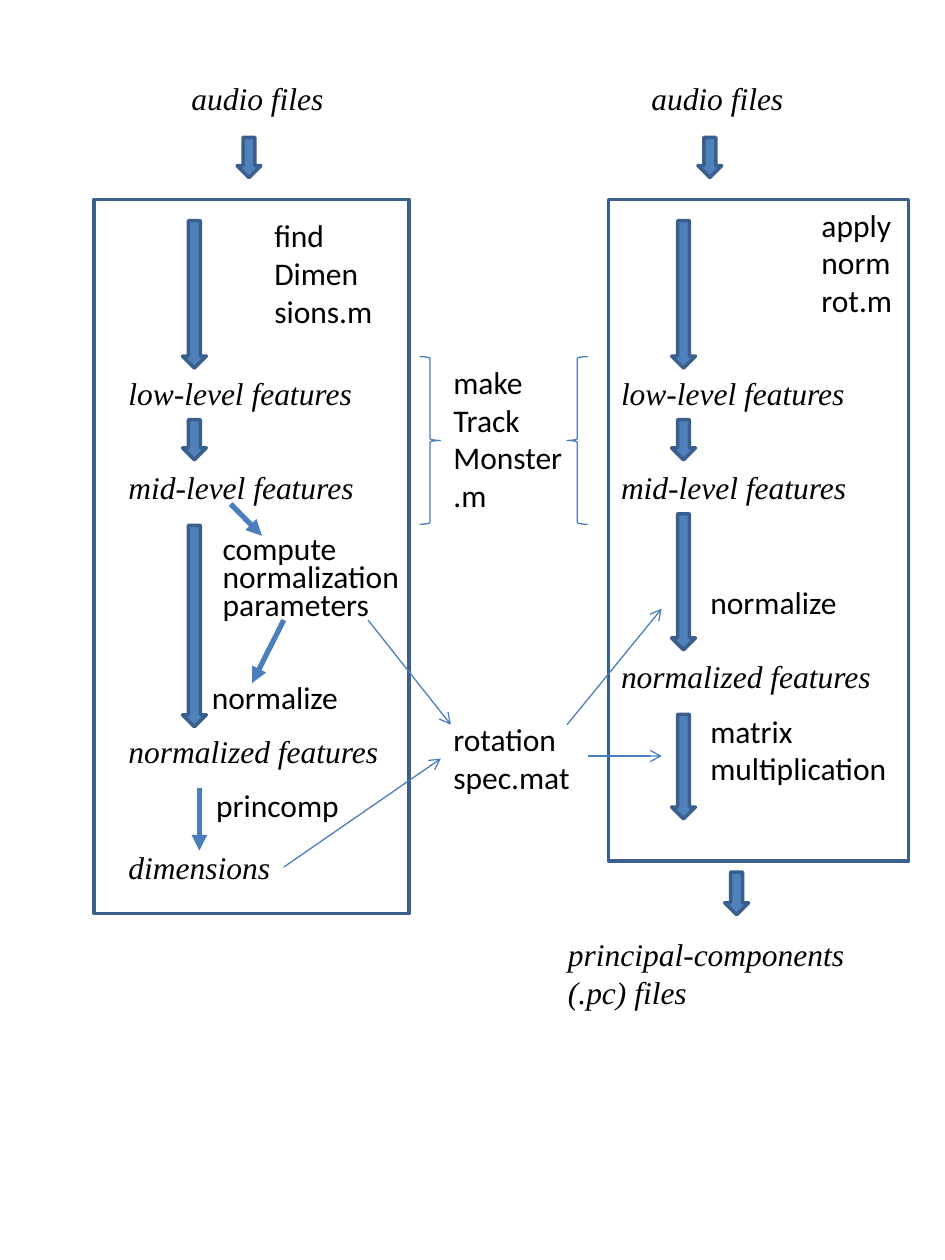
from lxml import etree
from pptx import Presentation
from pptx.dml.color import RGBColor
from pptx.enum import shapes, text
from pptx.oxml.ns import qn
from pptx.util import Cm, Pt

COLORS = {"fill": "4F81BD", "outline": "3A5F8C", "line": "4B7EBC", "text": "000000"}
DATA, CODE = "Times New Roman", "Calibri"

prs = Presentation()
prs.slide_width, prs.slide_height = Cm(19.05), Cm(25.4)
s = prs.slides.add_slide(prs.slide_layouts[6])


def add_outline(kind, x, y, w, h, color, width, fill=None):
    sp = s.shapes.add_shape(kind, Cm(x), Cm(y), Cm(w), Cm(h))
    sp.shadow.inherit = False
    if fill:
        sp.fill.solid()
        sp.fill.fore_color.rgb = RGBColor.from_string(COLORS[fill])
    else:
        sp.fill.background()
    sp.line.color.rgb = RGBColor.from_string(COLORS[color])
    sp.line.width = Pt(width)
    return sp


def add_label(lines, font, x, y, w, h, spacing=None):
    sp = s.shapes.add_textbox(Cm(x), Cm(y), Cm(w), Cm(h))
    tf = sp.text_frame
    tf.word_wrap = False
    tf.auto_size = text.MSO_AUTO_SIZE.SHAPE_TO_FIT_TEXT
    for i, line in enumerate(lines):
        p = tf.add_paragraph() if i else tf.paragraphs[0]
        if spacing:
            p.line_spacing = Pt(spacing)
        r = p.add_run()
        r.text = line
        r.font.name = font
        r.font.size = Pt(18)
        r.font.italic = font == DATA
        r.font.color.rgb = RGBColor.from_string(COLORS["text"])


for x, w, h in [(1.9, 6.35, 14.4), (12.27, 6.05, 13.34)]:
    add_outline(shapes.MSO_SHAPE.RECTANGLE, x, 4.02, w, h, "outline", 2)

down_arrows = [(4.78, 2.77, 0.81), (14.07, 2.77, 0.81), (14.61, 17.58, 0.86),
               (3.68, 10.59, 4.06), (13.54, 10.36, 2.74), (13.54, 14.4, 2.11)]
for x in (3.68, 13.54):
    down_arrows += [(x, 4.45, 2.97), (x, 8.46, 0.81)]
for x, y, h in down_arrows:
    add_outline(shapes.MSO_SHAPE.DOWN_ARROW, x, y, 0.48, h, "outline", 2, "fill")

for x, mirrored in [(8.46, False), (11.43, True)]:
    sp = add_outline(shapes.MSO_SHAPE.RIGHT_BRACE, x, 7.19, 0.42, 3.38, "line", 0.75)
    if mirrored:
        sp._element.spPr.find(qn("a:xfrm")).set("flipH", "1")

for x, audio_x, normalized_y in [(2.34, 3.61, 14.63), (12.27, 12.88, 13.13)]:
    add_label(["audio files"], DATA, audio_x, 1.47, 3.2, 1.02)
    add_label(["low-level features"], DATA, x, 7.42, 5.05, 1.02)
    add_label(["mid-level features"], DATA, x, 9.32, 5.11, 1.02)
    add_label(["normalized features"], DATA, x, normalized_y, 5.61, 1.02)

add_label(["dimensions"], DATA, 2.34, 16.97, 3.4, 1.02)
add_label(["principal-components", "(.pc) files"], DATA, 11.2, 18.72, 6.27, 1.8)

add_label(["find", "Dimen", "sions.m"], CODE, 5.28, 4.24, 2.51, 2.57)
add_label(["apply", "norm", "rot.m"], CODE, 16.31, 4.02, 1.96, 2.57)
add_label(["make", "Track", "Monster", ".m"], CODE, 8.89, 7.19, 2.79, 3.33)
add_label(["compute", "normalization", "parameters"], CODE, 4.24, 10.74, 4.11, 1.96, 16)
add_label(["rotation", "spec.mat"], CODE, 8.89, 14.4, 2.87, 1.8)
add_label(["matrix", "multiplication"], CODE, 14.07, 14.22, 4.11, 1.8)
add_label(["princomp"], CODE, 4.11, 15.72, 3.02, 1.02)
for x, y in [(4.02, 13.54), (14.07, 11.63)]:
    add_label(["normalize"], CODE, x, y, 3.07, 1.02)

links = [
    (7.42, 12.5, 9.09, 14.61, 0.75, "arrow"),
    (11.43, 14.61, 13.34, 12.27, 0.75, "arrow"),
    (5.72, 17.48, 8.89, 15.29, 0.75, "arrow"),
    (11.86, 15.24, 13.34, 15.24, 0.75, "arrow"),
    (4.02, 15.88, 4.02, 17.15, 3, "triangle"),
    (4.65, 10.16, 5.28, 10.8, 3, "triangle"),
    (5.72, 12.5, 5.08, 13.77, 3, "triangle"),
]
for x1, y1, x2, y2, width, head in links:
    link = s.shapes.add_connector(shapes.MSO_CONNECTOR.STRAIGHT, Cm(x1), Cm(y1), Cm(x2), Cm(y2))
    link.line.color.rgb = RGBColor.from_string(COLORS["line"])
    link.line.width = Pt(width)
    etree.SubElement(link.line._get_or_add_ln(), qn("a:tailEnd")).set("type", head)
    etree.SubElement(link._element.spPr, qn("a:effectLst"))

prs.save("out.pptx")
